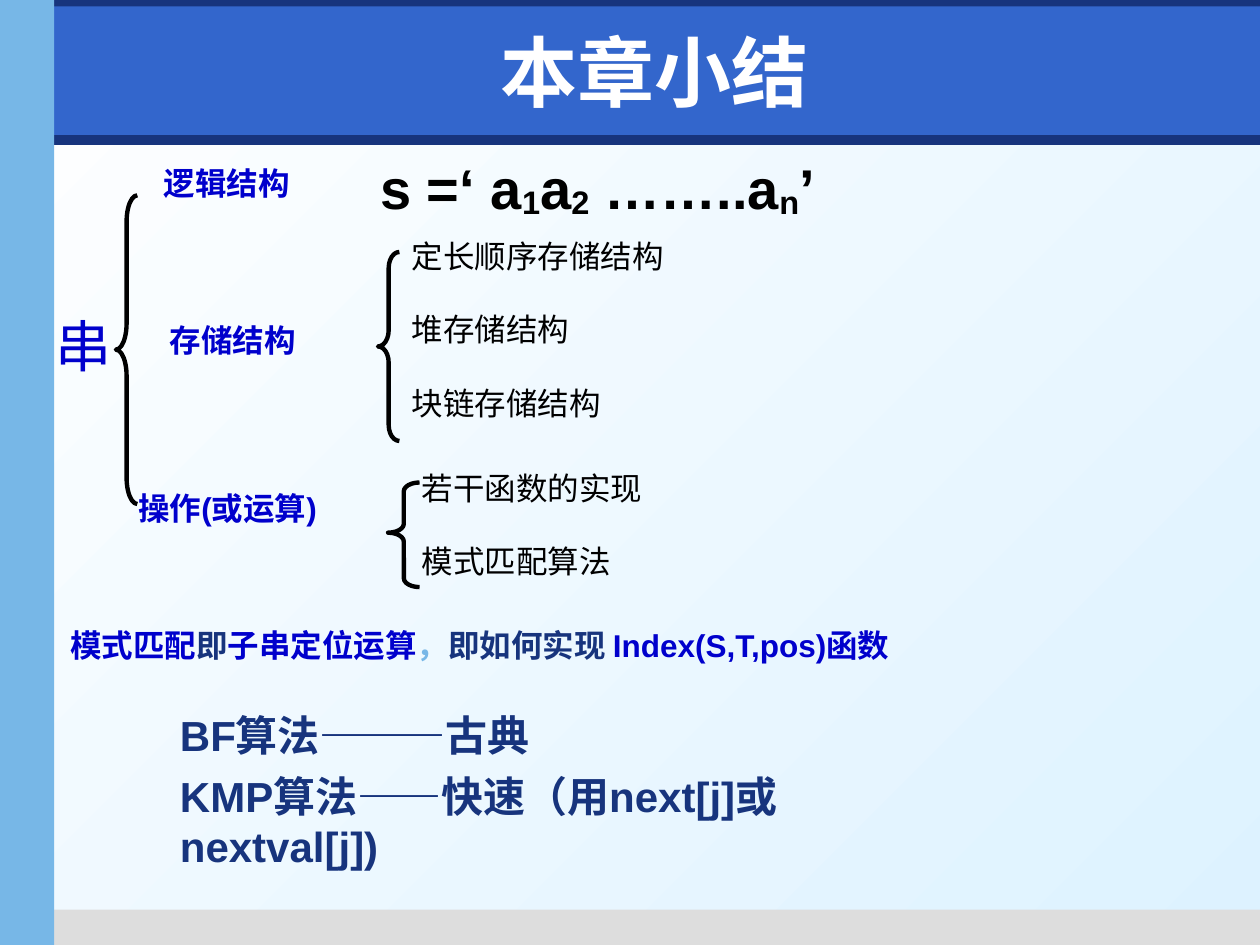
from dataclasses import dataclass

from lxml.etree import SubElement
from pptx import Presentation
from pptx.dml.color import RGBColor
from pptx.enum.shapes import MSO_SHAPE as Shape
from pptx.enum.text import MSO_ANCHOR as Anchor, MSO_AUTO_SIZE as AutoSize, PP_ALIGN as Align
from pptx.oxml.ns import qn
from pptx.util import Inches, Pt


@dataclass(frozen=True)
class Theme:
    """Colours, fonts and type sizes of the slide."""
    white: str = "FFFFFF"
    pale: str = "DDF2FF"
    black: str = "000000"
    navy: str = "17347D"
    royal: str = "3366CC"
    sky: str = "77B7E7"
    grey: str = "DDDDDD"
    blue: str = "0000CC"
    latin: str = "Arial"
    cjk: str = "Noto Sans CJK SC"
    title_font: str = "DejaVu Sans"
    title: int = 44
    large: int = 32
    medium: int = 24
    body: int = 18


T = Theme()


def rgb(color):
    """Return the colour object for a hex string."""
    return RGBColor.from_string(color)


def place(s, x, y, w, h):
    """Move and size a shape in inches."""
    s.left, s.top, s.width, s.height = (Inches(v) for v in (x, y, w, h))


def add_run(p, text, size, color, bold=False, font=T.latin, baseline=0):
    """Add one formatted run to a paragraph."""
    r = p.add_run()
    r.text = text
    r.font.size, r.font.bold, r.font.name = Pt(size), bold, font
    r.font.color.rgb = rgb(color)
    props = r._r.get_or_add_rPr()
    SubElement(props, qn("a:ea")).set("typeface", T.cjk)
    if baseline:
        props.set("baseline", str(baseline * 1000))


def add_bar(shapes, x, y, w, h, color):
    """Add a plain filled rectangle."""
    s = shapes.add_shape(Shape.RECTANGLE, *(Inches(v) for v in (x, y, w, h)))
    s.shadow.inherit = False
    s.fill.solid()
    s.fill.fore_color.rgb = rgb(color)
    s.line.fill.background()


def add_brace(shapes, x, y, w, h, curl, middle=0.5):
    """Add a left brace outline."""
    s = shapes.add_shape(Shape.LEFT_BRACE, *(Inches(v) for v in (x, y, w, h)))
    s.shadow.inherit = False
    s.adjustments[0], s.adjustments[1] = curl, middle
    s.fill.background()
    s.line.color.rgb = rgb(T.black)
    s.line.width = Pt(2.5)


def add_text(shapes, x, y, w, h, paragraphs, wrap=True):
    """Add a text box from paragraphs given as lists of run arguments."""
    s = shapes.add_textbox(*(Inches(v) for v in (x, y, w, h)))
    tf = s.text_frame
    tf.word_wrap, tf.auto_size = wrap, AutoSize.SHAPE_TO_FIT_TEXT
    for i, runs in enumerate(paragraphs):
        p = tf.add_paragraph() if i else tf.paragraphs[0]
        if i:
            p.space_before = Pt(6)
        for text, *style in runs:
            add_run(p, text, *style)


def add_labels(shapes, labels, color, bold=False):
    """Add body-size one-line labels given as text, left, top, width and wrap."""
    for text, x, y, w, wrap in labels:
        add_text(shapes, x, y, w, 0.4, [[(text, T.body, color, bold)]], wrap)


def add_frame(slide):
    """Add the background, the bars and the title."""
    fill = slide.background.fill
    fill.gradient()
    fill.gradient_angle = 315
    for stop, position, color in zip(fill.gradient_stops, (0, 1), (T.white, T.pale)):
        stop.position = position
        stop.color.rgb = rgb(color)
    for bar in (
        (0.04, 1.07, 9.96, 0.08, T.navy),
        (0.35, 7.22, 9.65, 0.28, T.grey),
        (0, -0.03, 10, 0.24, T.navy),
        (0.43, 0.05, 9.57, 1.02, T.royal),
        (0, 0, 0.43, 7.5, T.sky),
    ):
        add_bar(slide.shapes, *bar)
    title = slide.shapes.title
    slide.shapes._spTree.append(title._element)
    place(title, 0.59, 0.13, 9.21, 0.87)
    title.text_frame.vertical_anchor = Anchor.MIDDLE
    p = title.text_frame.paragraphs[0]
    p.alignment = Align.CENTER
    add_run(p, "本章小结", T.title, T.white, True, T.title_font)


def add_formula(shapes):
    """Add the string definition with its subscripts."""
    parts = (("s =‘ a", 0), ("1", -8), ("a", 0), ("2", -8), (" ……..a", 0), ("n", -8), ("’", 0))
    runs = [(text, T.large, T.black, True, T.latin, base) for text, base in parts]
    add_text(shapes, 2.92, 1.17, 5.67, 0.63, [runs])


def add_tree(shapes):
    """Add the brace tree of structures and operations."""
    add_text(shapes, 0.34, 2.42, 0.65, 0.63, [[("串", T.large, T.blue)]], wrap=False)
    add_brace(shapes, 0.92, 1.55, 0.17, 2.45, 1.22)
    add_formula(shapes)

    storage = shapes.add_group_shape().shapes
    add_brace(storage, 3, 2, 0.17, 1.5, 0.75)
    names = (("定长顺序存储结构", 2.87, True), ("堆存储结构", 1.46, False), ("块链存储结构", 1.72, False))
    add_labels(storage, [(text, 3.17, 1.83 + i * 0.585, w, wrap)
                         for i, (text, w, wrap) in enumerate(names)], T.black)

    branches = shapes.add_group_shape().shapes
    add_labels(branches, (("逻辑结构", 1.2, 1.25, 1.22, False),
                          ("存储结构", 1.25, 2.5, 1.22, False),
                          ("操作(或运算)", 1, 3.83, 2, True)), T.blue, True)

    operations = shapes.add_group_shape().shapes
    add_brace(operations, 3.08, 3.83, 0.25, 0.83, 0.28, 0.48)
    add_labels(operations, (("若干函数的实现", 3.25, 3.67, 2.67, True),
                            ("模式匹配算法", 3.25, 4.25, 3.92, True)), T.black)


def add_matching(shapes):
    """Add the pattern matching sentence and the two algorithms."""
    parts = (("模式匹配", T.blue, T.cjk), ("即", T.navy, T.cjk), ("子串定位运算", T.blue, T.cjk),
             ("，", T.sky, T.cjk), ("即如何实现 ", T.navy, T.latin),
             ("Index(S,T,pos)函数", T.blue, T.latin))
    runs = [(text, T.body, color, True, font) for text, color, font in parts]
    add_text(shapes, 0.46, 4.92, 9.42, 0.4, [runs])
    lines = ("BF算法———古典", "KMP算法——快速（用next[j]或nextval[j])")
    add_text(shapes, 1.33, 5.58, 6.5, 1.11, [[(text, T.medium, T.navy, True)] for text in lines])


def main():
    """Build and save the slide."""
    prs = Presentation()
    prs.slide_width, prs.slide_height = Inches(10), Inches(7.5)
    slide = prs.slides.add_slide(prs.slide_layouts[5])
    add_frame(slide)
    add_tree(slide.shapes)
    add_matching(slide.shapes)
    prs.save("out.pptx")


if __name__ == "__main__":
    main()
